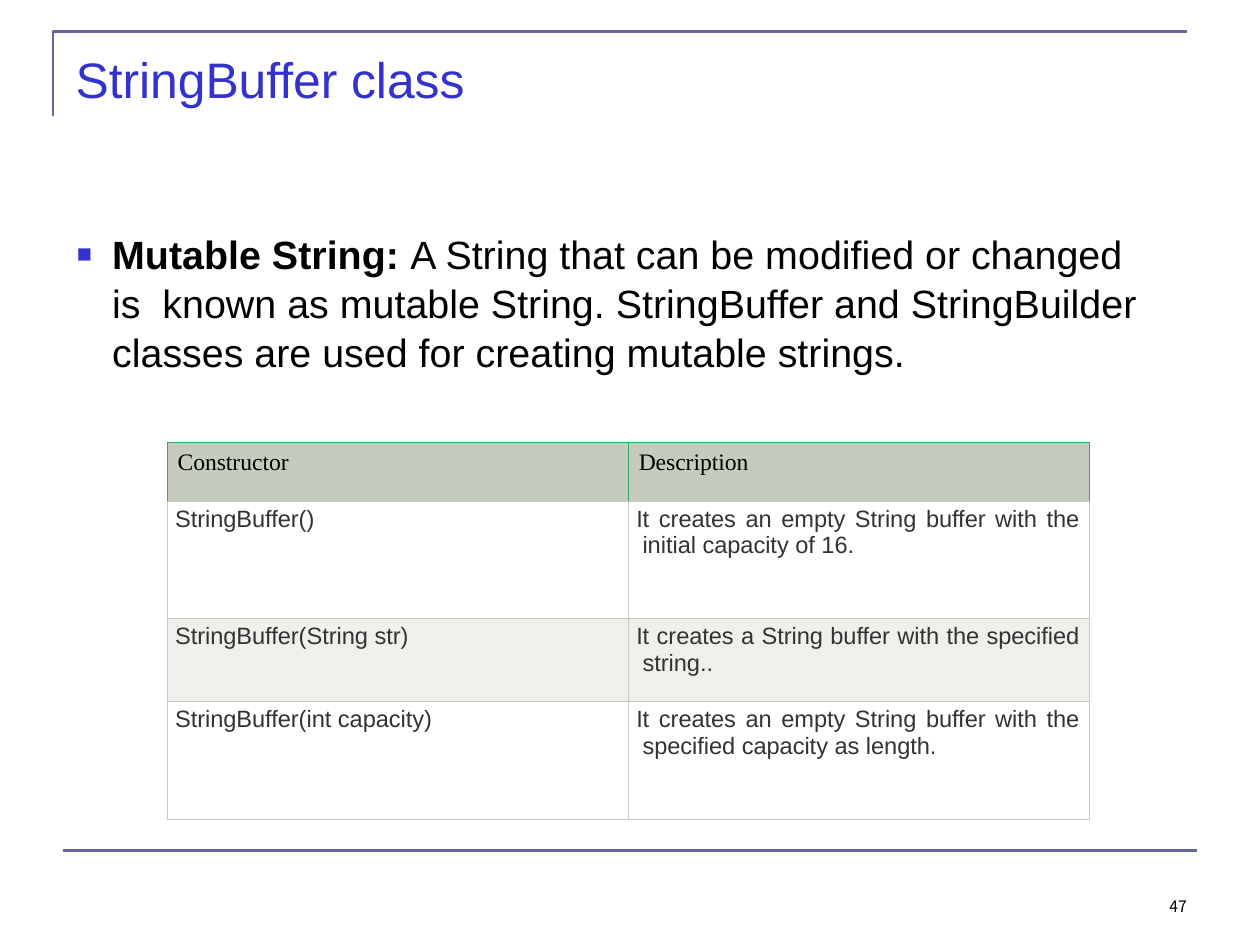
from dataclasses import dataclass

from lxml.etree import SubElement
from pptx import Presentation
from pptx.dml.color import RGBColor
from pptx.enum.shapes import MSO_CONNECTOR
from pptx.enum.text import MSO_ANCHOR, MSO_AUTO_SIZE, PP_ALIGN
from pptx.oxml import parse_xml
from pptx.oxml.ns import nsdecls, qn
from pptx.util import Inches, Pt


@dataclass(frozen=True)
class Theme:
    sans: str = "Arial"
    serif: str = "Times New Roman"
    number_font: str = "Noto Sans CJK TC"
    accent: str = "3333CC"
    rule: str = "666699"
    ink: str = "000000"
    cell_ink: str = "333333"
    header_fill: str = "C6CCBD"
    band_fill: str = "EEF0EB"
    grid: str = "C6CCBD"
    header_grid: str = "2FA95F"
    title_size: float = 28.5
    body_size: float = 22.5
    cell_size: float = 13.5
    number_size: float = 9
    rule_width: float = 1.5
    grid_width: float = 0.5


class SlideBuilder:
    def __init__(self, page, theme):
        self.page = page
        self.theme = theme

    def style_paragraph(self, para, name, size, color):
        para.font.name = name
        para.font.size = Pt(size)
        para.font.color.rgb = RGBColor.from_string(color)

    def indent(self, para, left, first=0):
        properties = para._p.get_or_add_pPr()
        properties.set("marL", str(Inches(left)))
        properties.set("indent", str(Inches(first)))

    def prepare_frame(self, box, left, top, width, height, inset_top=0, inset_right=0):
        """Place a box and give it a wrapping, top-anchored frame."""
        box.left, box.top = Inches(left), Inches(top)
        box.width, box.height = Inches(width), Inches(height)
        frame = box.text_frame
        frame.word_wrap = True
        frame.auto_size = MSO_AUTO_SIZE.NONE
        frame.vertical_anchor = MSO_ANCHOR.TOP
        frame.margin_left = frame.margin_bottom = 0
        frame.margin_top = Inches(inset_top)
        frame.margin_right = Inches(inset_right)
        return frame

    def style_rule(self, shape):
        shape.line.color.rgb = RGBColor.from_string(self.theme.rule)
        shape.line.width = Pt(self.theme.rule_width)

    def add_corner(self, left, top, width, height):
        outline = self.page.shapes.build_freeform(Inches(left), Inches(top + height))
        outline.add_line_segments(
            [(Inches(left), Inches(top)), (Inches(left + width), Inches(top))], close=False
        )
        corner = outline.convert_to_shape()
        corner.shadow.inherit = False
        corner.fill.background()
        self.style_rule(corner)

    def add_rule(self, left, top, width):
        rule = self.page.shapes.add_connector(
            MSO_CONNECTOR.STRAIGHT, Inches(left), Inches(top), Inches(left + width), Inches(top)
        )
        SubElement(rule._element.spPr, qn("a:effectLst"))
        self.style_rule(rule)

    def add_title(self, text, *place):
        frame = self.prepare_frame(self.page.shapes.title, *place, inset_top=0.06)
        para = frame.paragraphs[0]
        para.text = text
        para.alignment = PP_ALIGN.LEFT
        self.indent(para, 0.01)
        self.style_paragraph(para, self.theme.sans, self.theme.title_size, self.theme.accent)

    def add_definition(self, term, meaning, *place):
        """Fill the body placeholder with one bullet that opens with a bold term."""
        body = self.page.placeholders[1]
        frame = self.prepare_frame(body, *place, inset_top=0.03, inset_right=0.1)
        para = frame.paragraphs[0]
        for text, bold in ((term, True), (meaning, False)):
            span = para.add_run()
            span.text = text
            span.font.bold = bold
        self.indent(para, 0.3, -0.28)
        properties = para._p.get_or_add_pPr()
        color = SubElement(properties, qn("a:buClr"))
        SubElement(color, qn("a:srgbClr"), val=self.theme.accent)
        SubElement(properties, qn("a:buSzPct"), val="64000")
        SubElement(properties, qn("a:buFont"), typeface=self.theme.sans)
        SubElement(properties, qn("a:buChar"), char="■")
        para.line_spacing = 1.04
        para.space_before = Pt(0)
        self.style_paragraph(para, self.theme.sans, self.theme.body_size, self.theme.ink)

    def add_page_number(self, text, *place):
        box = self.page.shapes.add_textbox(0, 0, 0, 0)
        para = self.prepare_frame(box, *place).paragraphs[0]
        para.text = text
        para.line_spacing = Pt(10.6)
        self.indent(para, 0.04)
        self.style_paragraph(
            para, self.theme.number_font, self.theme.number_size, self.theme.ink
        )

    def set_borders(self, cell, **colors):
        """Draw cell borders; keys are L, R, T and B, in that order."""
        properties = cell._tc.get_or_add_tcPr()
        for position, (side, color) in enumerate(colors.items()):
            border = parse_xml(
                f'<a:ln{side} {nsdecls("a")} w="{Pt(self.theme.grid_width)}"><a:solidFill>'
                f'<a:srgbClr val="{color}"/></a:solidFill></a:ln{side}>'
            )
            properties.insert(position, border)

    def fill_cell(self, cell, text, row, column):
        theme = self.theme
        header = row == 0
        cell.margin_left = cell.margin_bottom = 0
        cell.margin_right = Inches(0.08)
        cell.margin_top = Inches(0.06 if header else 0.04)
        para = cell.text_frame.paragraphs[0]
        para.text = text
        if header:
            self.indent(para, 0.08)
            self.style_paragraph(para, theme.serif, theme.cell_size, theme.ink)
        else:
            if column == 1:
                self.indent(para, 0.11, -0.05)
                para.alignment = PP_ALIGN.JUSTIFY
            else:
                self.indent(para, 0.06)
            self.style_paragraph(para, theme.sans, theme.cell_size, theme.cell_ink)

        fill = theme.header_fill if header else theme.band_fill if row % 2 == 0 else None
        if fill:
            cell.fill.solid()
            cell.fill.fore_color.rgb = RGBColor.from_string(fill)
        else:
            cell.fill.background()
        edge = theme.header_grid if header else theme.grid
        self.set_borders(cell, L=edge, R=edge, T=edge, B=theme.grid)

    def add_table(self, rows, row_heights, left, top, width):
        frame = self.page.shapes.add_table(
            len(rows), len(rows[0]), Inches(left), Inches(top),
            Inches(width), Inches(sum(row_heights)),
        )
        table = frame.table
        table.first_row = table.horz_banding = False
        for row, (texts, height) in enumerate(zip(rows, row_heights)):
            table.rows[row].height = Inches(height)
            for column, text in enumerate(texts):
                self.fill_cell(table.cell(row, column), text, row, column)


CONSTRUCTORS = [
    ("Constructor", "Description"),
    ("StringBuffer()",
     "It creates an empty String buffer with the initial capacity of 16."),
    ("StringBuffer(String str)",
     "It creates a String buffer with the specified string.."),
    ("StringBuffer(int capacity)",
     "It creates an empty String buffer with the specified capacity as length."),
]


def main():
    deck = Presentation()
    deck.slide_width, deck.slide_height = Inches(10), Inches(7.5)
    page = deck.slides.add_slide(deck.slide_layouts[1])
    builder = SlideBuilder(page, Theme())
    builder.add_corner(0.42, 0.25, 9, 0.67)
    builder.add_rule(0.5, 6.75, 9)
    builder.add_title("StringBuffer class", 0.59, 0.33, 3.13, 0.5)
    builder.add_definition(
        "Mutable String: ",
        "A String that can be modified or changed is  known as mutable String. "
        "StringBuffer and StringBuilder classes are used for creating mutable strings.",
        0.59, 1.78, 8.64, 1.15,
    )
    builder.add_page_number("47", 9.24, 7.12, 0.2, 0.17)
    builder.add_table(CONSTRUCTORS, [0.47, 0.93, 0.66, 0.93], 1.33, 3.51, 7.32)
    deck.save("out.pptx")


if __name__ == "__main__":
    main()
